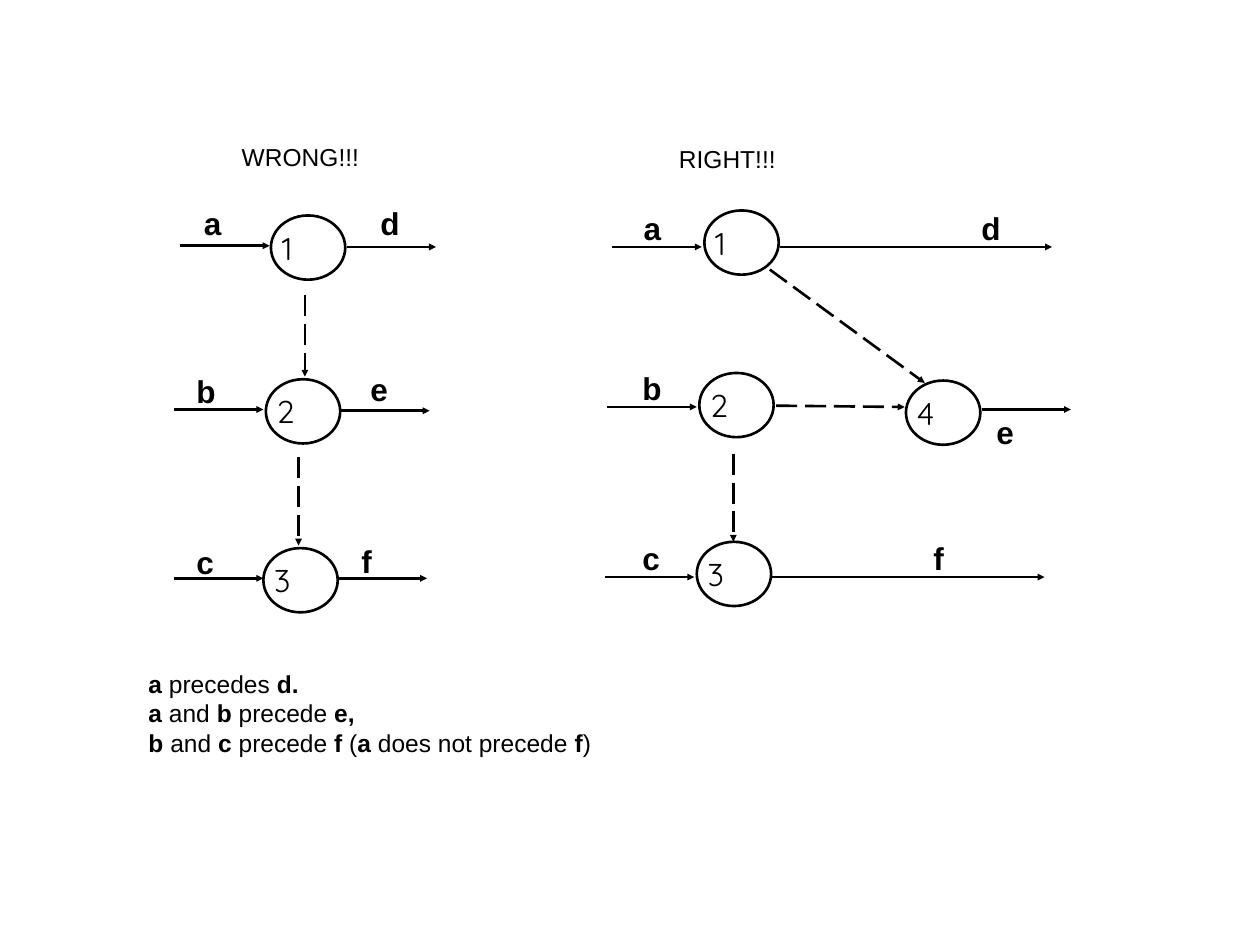
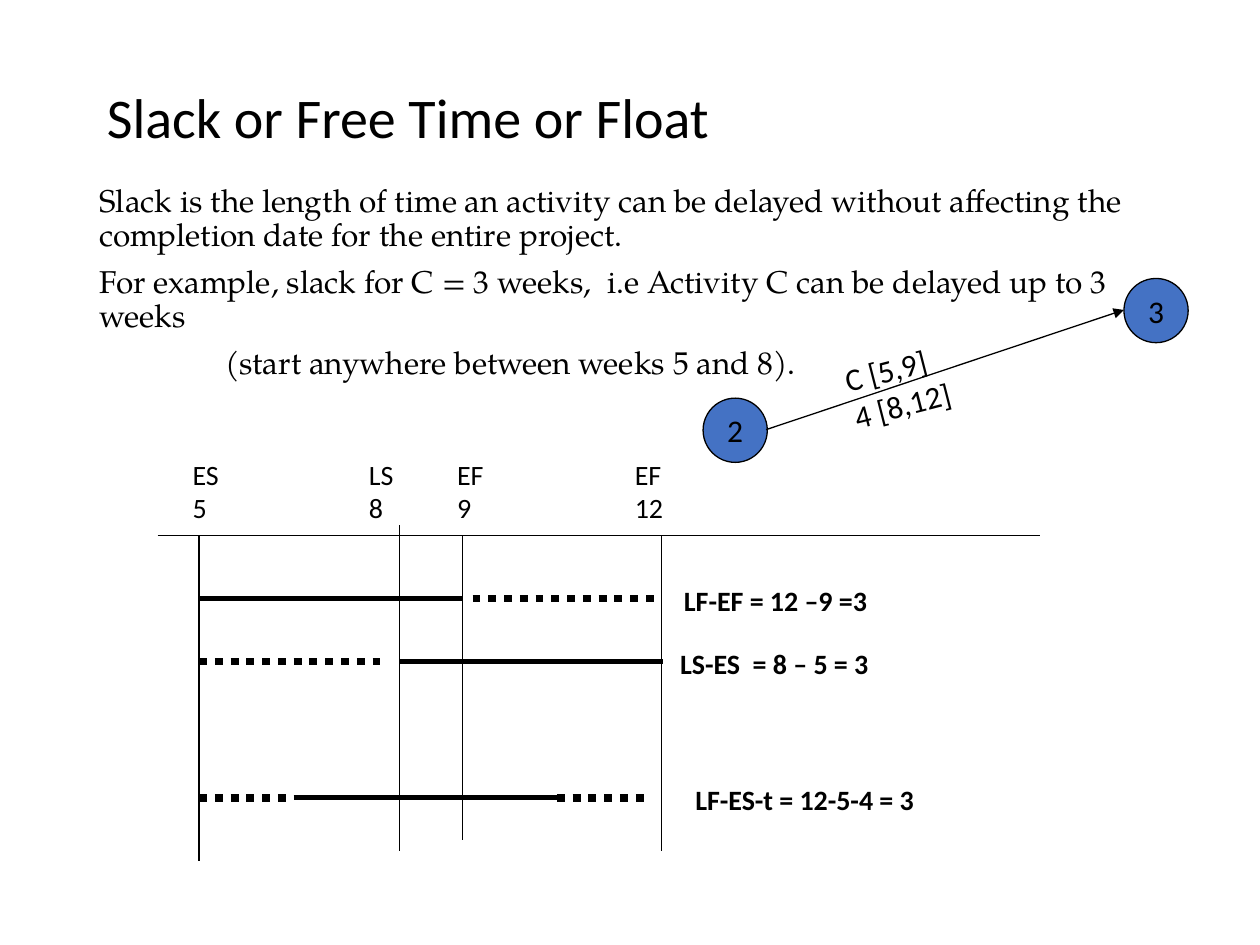
import pptx
import pptx.dml.color
import pptx.enum.dml
import pptx.enum.shapes
import pptx.enum.text
import pptx.oxml.ns
import pptx.util
from lxml import etree

BLACK = "000000"
BLUE = "4472C4"
SANS, HEADING, SERIF, DIGITS = "Arial", "Calibri", "TeX Gyre Pagella", "Quicksand"
LONG_DASH = pptx.enum.dml.MSO_LINE.LONG_DASH
DOTS = pptx.enum.dml.MSO_LINE.ROUND_DOT
OVAL = pptx.enum.shapes.MSO_SHAPE.OVAL
JUNCTION = pptx.enum.shapes.MSO_SHAPE.FLOWCHART_CONNECTOR
TOP = pptx.enum.text.MSO_ANCHOR.TOP
MIDDLE = pptx.enum.text.MSO_ANCHOR.MIDDLE
LEFT = pptx.enum.text.PP_ALIGN.LEFT
CENTER = pptx.enum.text.PP_ALIGN.CENTER


def cm(inches):
    """Turn inches into a length in centimetres."""
    return pptx.util.Cm(inches * 2.54)


def rgb(code):
    """Turn a hex string into a colour."""
    return pptx.dml.color.RGBColor.from_string(code)


def write(frame, text, font=HEADING, size=18, bold=False, align=LEFT,
          anchor=TOP, spacing=None, before=0, indents=()):
    """Fill a text frame line by line; parts between asterisks are bold."""
    frame.word_wrap = True
    frame.vertical_anchor = anchor
    for number, line in enumerate(text.split("\n")):
        paragraph = frame.add_paragraph() if number else frame.paragraphs[0]
        paragraph.alignment = align
        paragraph.line_spacing = spacing
        paragraph.space_before = pptx.util.Pt(before)
        if indents:
            paragraph._p.get_or_add_pPr().set("marL", str(cm(indents[number])))
        for index, part in enumerate(line.split("*")):
            if part:
                run = paragraph.add_run()
                run.text = part
                run.font.name = font
                run.font.size = pptx.util.Pt(size)
                run.font.bold = bold or index % 2 == 1
                run.font.color.rgb = rgb(BLACK)


class Board:
    """Draws the elements of the current slide in the shared style."""

    def __init__(self):
        """Open an empty presentation."""
        self.deck = pptx.Presentation()
        self.deck.slide_width, self.deck.slide_height = cm(10), cm(7.5)
        self.shapes = None

    def new_slide(self):
        """Start a slide on the blank layout."""
        self.shapes = self.deck.slides.add_slide(self.deck.slide_layouts[6]).shapes

    def label(self, text, left, top, width, height, rotation=0, **style):
        """Add a text box."""
        box = self.shapes.add_textbox(cm(left), cm(top), cm(width), cm(height))
        box.rotation = rotation
        write(box.text_frame, text, **style)

    def node(self, text, left, top, width, height, kind=OVAL, fill=None,
             line=1.5, inset=(0, 0), **style):
        """Add a numbered round node."""
        node = self.shapes.add_shape(kind, cm(left), cm(top), cm(width), cm(height))
        node.shadow.inherit = False
        if fill:
            node.fill.solid()
            node.fill.fore_color.rgb = rgb(fill)
        else:
            node.fill.background()
        node.line.color.rgb = rgb(BLACK)
        node.line.width = pptx.util.Pt(line)
        frame = node.text_frame
        frame.margin_left = frame.margin_right = cm(inset[0])
        frame.margin_top = frame.margin_bottom = cm(inset[1])
        write(frame, text, **style)

    def line(self, x1, y1, x2, y2, width=0.75, dash=None, arrow=None):
        """Add a straight line, with an arrowhead of the given size at its end."""
        line = self.shapes.add_connector(
            pptx.enum.shapes.MSO_CONNECTOR.STRAIGHT, cm(x1), cm(y1), cm(x2), cm(y2))
        line.line.color.rgb = rgb(BLACK)
        line.line.width = pptx.util.Pt(width)
        if dash:
            line.line.dash_style = dash
        properties = line._element.spPr
        qn = pptx.oxml.ns.qn
        if arrow:
            etree.SubElement(properties.find(qn("a:ln")), qn("a:tailEnd"),
                             type="triangle", w=arrow, len=arrow)
        etree.SubElement(properties, qn("a:effectLst"))


def draw_networks(board):
    """Compare the wrong and the right activity network."""
    board.new_slide()
    events = [("1", 2.15, 1.71), ("2", 2.11, 3.01), ("3", 2.09, 4.35),
              ("1", 5.59, 1.67), ("2", 5.55, 2.96), ("3", 5.53, 4.3),
              ("4", 7.19, 3.02)]
    for number, left, top in events:
        board.node(number, left, top, 0.59, 0.51, inset=(0, 0.03), font=DIGITS)

    short, long = 0.71, 2.16
    activities = [(1.43, 1.95, short), (2.75, 1.96, short), (1.38, 3.25, short),
                  (2.7, 3.26, short), (1.38, 4.59, short), (2.68, 4.59, short),
                  (4.86, 1.96, short), (6.19, 1.96, long), (4.82, 3.23, short),
                  (7.79, 3.25, short), (4.8, 4.58, short), (6.13, 4.58, long)]
    for left, y, length in activities:
        board.line(left, y, left + length, y, width=1.5, arrow="sm")

    dummies = [(2.42, 2.34, 2.42, 2.99), (2.37, 3.63, 2.37, 4.33),
               (6.16, 3.22, 7.18, 3.23), (5.82, 3.6, 5.82, 4.3),
               (6.11, 2.14, 7.34, 3.04)]
    for ends in dummies:
        board.line(*ends, width=1.5, dash=LONG_DASH, arrow="sm")

    letters = [("a", 1.52, 1.57), ("d", 2.92, 1.57), ("b", 1.46, 2.9),
               ("e", 2.84, 2.89), ("c", 1.46, 4.26), ("f", 2.77, 4.25),
               ("a", 5.01, 1.61), ("d", 7.69, 1.61), ("b", 5, 2.88),
               ("e", 7.81, 3.23), ("c", 5, 4.23), ("f", 7.31, 4.23)]
    for letter, left, top in letters:
        board.label(letter, left, top, 0.49, 0.46, font=SANS, bold=True)

    board.label("WRONG!!!", 1.82, 1.08, 1.21, 0.39, font=SANS, size=14)
    board.label("RIGHT!!!", 5.29, 1.09, 1.17, 0.34, font=SANS, size=14)
    board.label("*a* precedes *d.*\n"
                "*a* and *b* precede *e,*\n"
                "*b* and *c* precede *f* (*a* does not precede *f*)",
                1.08, 5.26, 6.88, 0.41, font=SANS, size=14)


def draw_slack(board):
    """Explain slack with a timeline and a small network."""
    board.new_slide()
    board.label("Slack or Free Time or Float", 0.75, 0.58, 8.5, 0.75,
                size=32, anchor=MIDDLE, spacing=0.9)
    board.label("Slack is the length of time an activity can be delayed without "
                "affecting the completion date for the entire project.\n"
                "For example, slack for C = 3 weeks,  i.e Activity C can be "
                "delayed up to 3 weeks\n"
                "(start anywhere between weeks 5 and 8).",
                0.5, 1.42, 9.08, 5.5, font=SERIF, spacing=0.9, before=7.5,
                indents=(0.19, 0.19, 1.19))

    axis = 4.25
    week = {5: 1.58, 8: 3.17, 9: 3.67, 12: 5.25}
    board.line(1.25, axis, 8.25, axis)
    for number, top, bottom in [(5, axis, 6.83), (8, 4.17, 6.75),
                                (12, axis, 6.75), (9, axis, 6.67)]:
        board.line(week[number], top, week[number], bottom)
    for heading, left in [("ES\n5", 1.43), ("LS\n8", 2.83),
                          ("EF\n9", 3.53), ("EF\n12", 4.94)]:
        board.label(heading, left, 3.58, 0.67, 0.64, size=16)

    duration = week[9] - week[5]
    schedules = [
        (4.75, week[5], [(3.75, 5.25)], "LF-EF = 12 –9 =3", 5.33),
        (5.25, week[8], [(1.58, 3.08)], "LS-ES  = 8 – 5 = 3", 5.3),
        (6.33, 2.33, [(1.58, 2.33), (4.42, 5.17)], "LF-ES-t = 12-5-4 = 3", 5.42),
    ]
    for y, start, slacks, formula, left in schedules:
        board.line(start, y, start + duration, y, width=3)
        for begin, end in slacks:
            board.line(begin, y, end, y, width=4.5, dash=DOTS)
        board.label(formula, left, y - 0.17, 2.83, 0.37, size=16, bold=True)

    for number, left, top in [("2", 5.58, 3.16), ("3", 8.92, 2.21)]:
        board.node(number, left, top, 0.51, 0.51, kind=JUNCTION, fill=BLUE,
                   line=0.75, align=CENTER, anchor=MIDDLE)
    board.label("C [5,9]\n4 [8,12]", 6.63, 2.67, 1.35, 0.7, rotation=345.5)
    board.line(6.08, 3.41, 8.92, 2.46, arrow="med")


def main():
    """Build and save both slides."""
    board = Board()
    draw_networks(board)
    draw_slack(board)
    board.deck.save("out.pptx")


if __name__ == "__main__":
    main()
